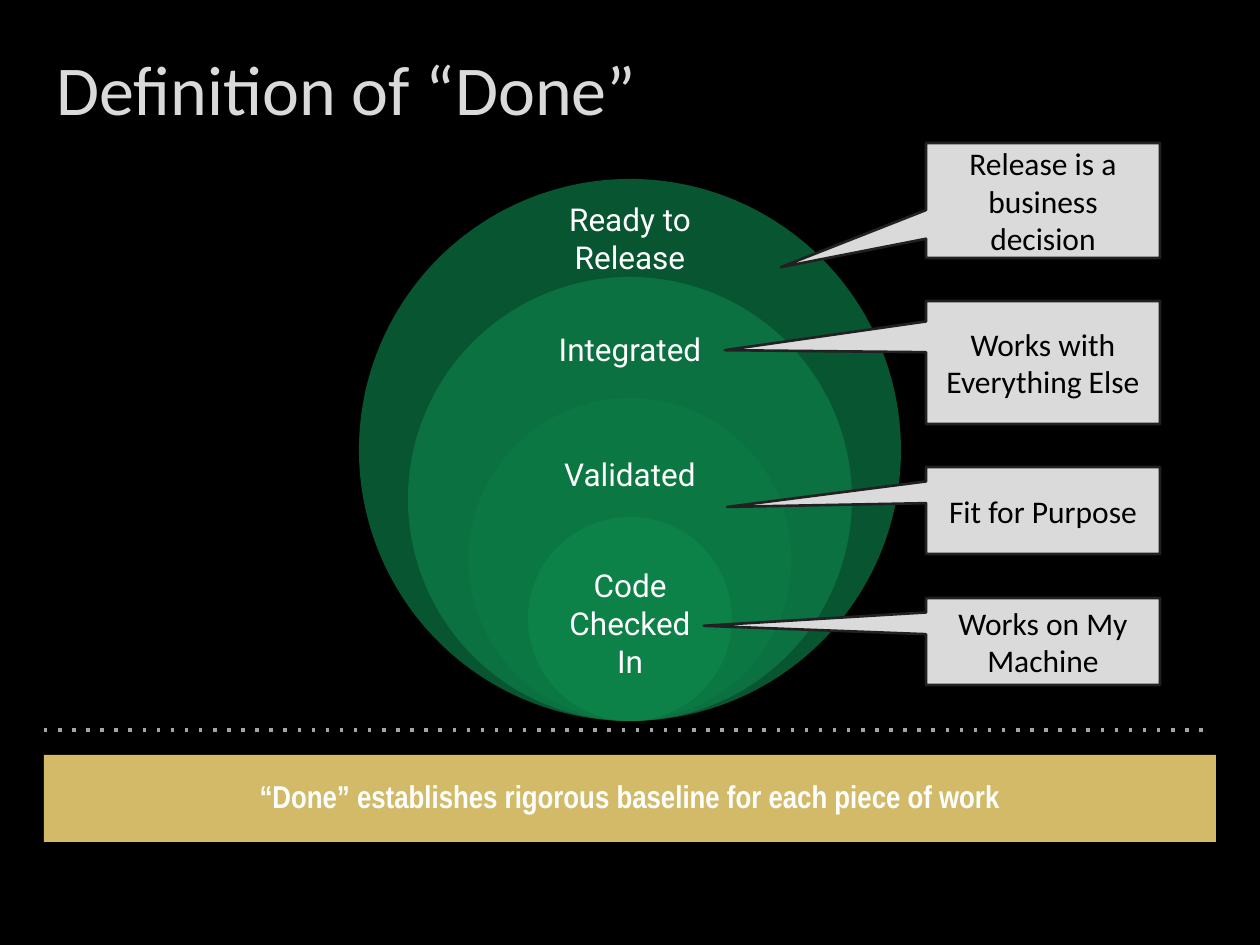
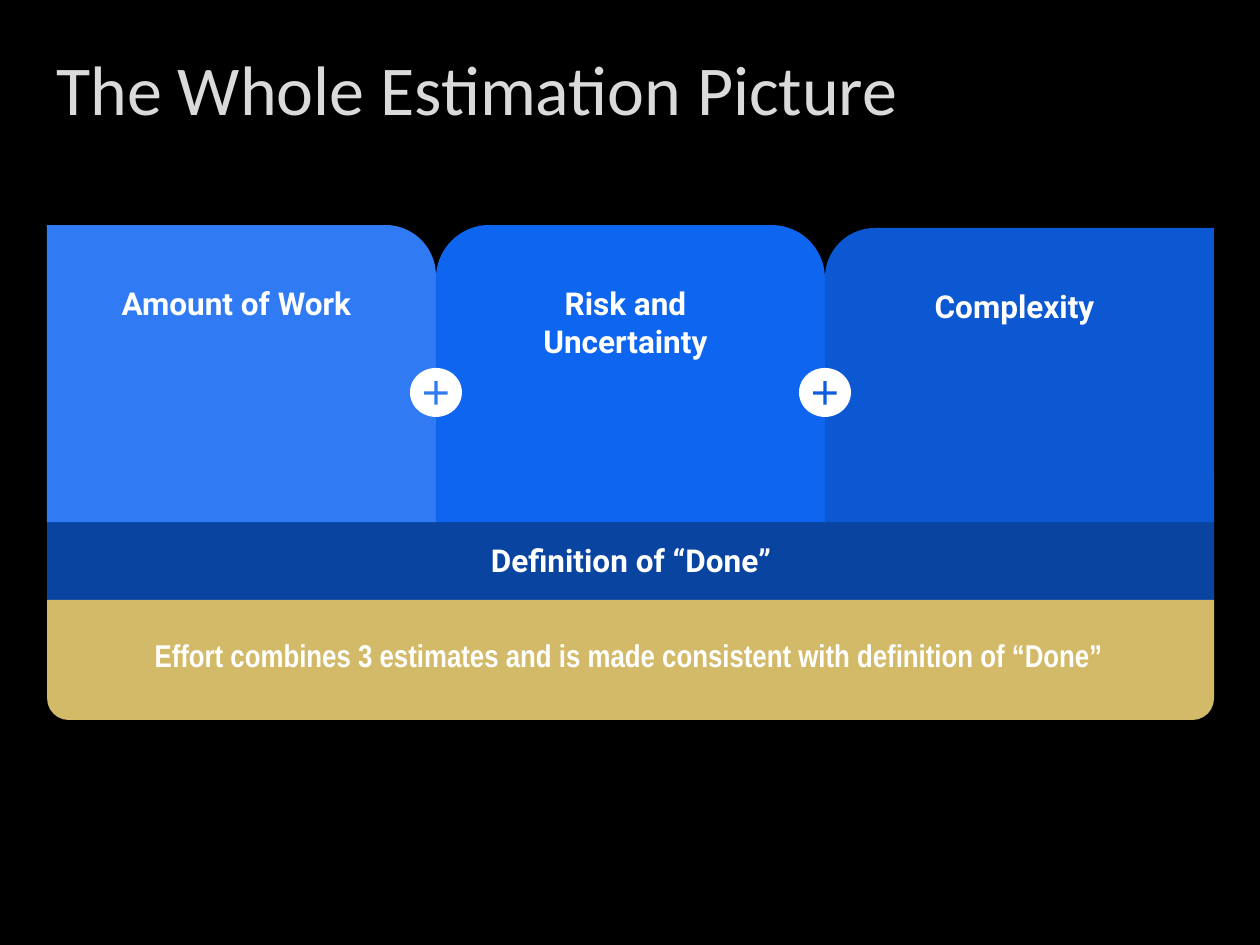
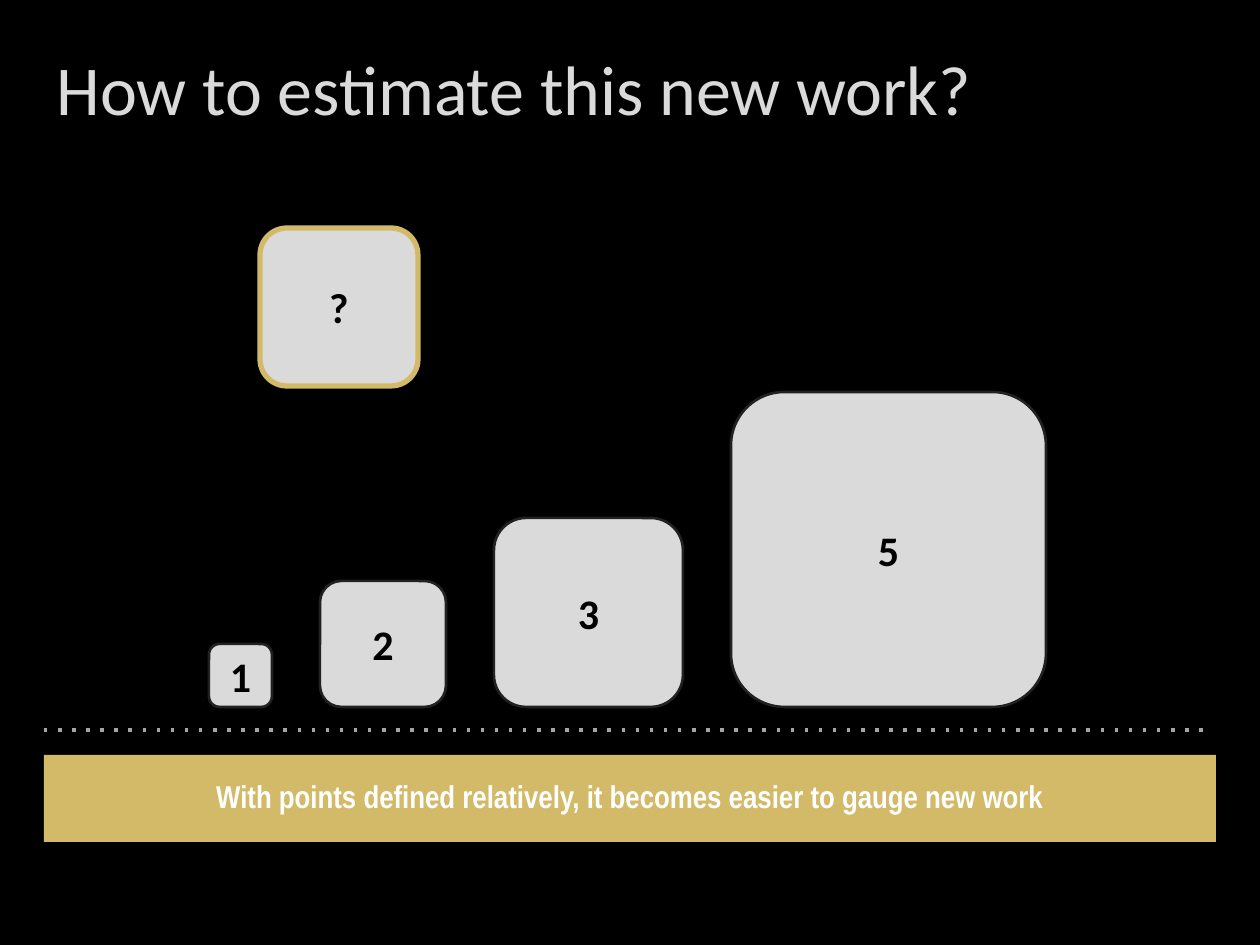
from lxml import etree
from pptx import Presentation
from pptx.dml.color import RGBColor
from pptx.enum import shapes, text
from pptx.oxml import ns
from pptx.util import Pt

Kind = shapes.MSO_SHAPE
Mid, Top = text.MSO_ANCHOR.MIDDLE, text.MSO_ANCHOR.TOP


class Theme:
    back, pale, ink = "000000", "DADADA", "000000"
    white, gold, edge, dots = "FFFFFF", "D3BA68", "212123", "A5A5A5"
    greens = ["085631", "0B7140", "0B7743", "0C8148"]
    blues = ["307BF3", "0E65F0", "0C58D3"]
    navy, cross = "0944A1", "0D5DDF"
    main, label, band = "Calibri", "Roboto", "Arial Narrow"
    head, big, norm = 40, 24, 18


def px(n):
    """Turn pixels, 126 to the inch, into EMU."""
    return round(n * 914400 / 126)


def add(slide, kind, box, fill=None, line=None, adj=(), words="", font=Theme.label,
        size=Theme.norm, color=Theme.white, bold=False, anchor=Mid, lead=None):
    """Add a preset shape, or a text box when kind is None."""
    area = [px(n) for n in box]
    if kind is None:
        shape = slide.shapes.add_textbox(*area)
    else:
        shape = slide.shapes.add_shape(kind, *area)
        shape.shadow.inherit = False
        shape.fill.solid()
        shape.fill.fore_color.rgb = RGBColor.from_string(fill)
        if line:
            shape.line.color.rgb = RGBColor.from_string(line[0])
            shape.line.width = Pt(line[1])
        else:
            shape.line.fill.background()
        for i, value in enumerate(adj):
            shape.adjustments[i] = value
    if words:
        frame = shape.text_frame
        frame.word_wrap = True
        frame.vertical_anchor = anchor
        frame.margin_left = frame.margin_right = px(13)
        frame.margin_top = frame.margin_bottom = px(13)
        para = frame.paragraphs[0]
        para.text = words
        para.alignment = text.PP_ALIGN.CENTER
        para.line_spacing = lead
        para.font.name, para.font.size, para.font.bold = font, Pt(size), bold
        para.font.color.rgb = RGBColor.from_string(color)
    return shape


deck = Presentation()
deck.slide_width, deck.slide_height = px(1260), px(945)
ground = deck.slide_master.background.fill
ground.solid()
ground.fore_color.rgb = RGBColor.from_string(Theme.back)

# Shared titles, with the dotted rule and gold band where a slide has one
pages = []
for name, note in [
    ("Definition of “Done”", "“Done” establishes rigorous baseline for each piece of work"),
    ("The Whole Estimation Picture", None),
    ("How to estimate this new work?",
     "With points defined relatively, it becomes easier to gauge new work"),
]:
    page = deck.slides.add_slide(deck.slide_layouts[5])
    pages.append(page)
    title = page.shapes.title
    title.left, title.top, title.width, title.height = px(44), px(19), px(1172), px(151)
    title.text_frame.text = name
    title.text_frame.auto_size = text.MSO_AUTO_SIZE.NONE
    title.text_frame.vertical_anchor = Mid
    para = title.text_frame.paragraphs[0]
    para.alignment = text.PP_ALIGN.LEFT
    para.line_spacing = 0.85
    para.font.name, para.font.size = Theme.main, Pt(Theme.head)
    para.font.color.rgb = RGBColor.from_string(Theme.pale)
    if note:
        add(page, Kind.RECTANGLE, (44, 755, 1172, 87), Theme.gold, words=note,
            font=Theme.band, bold=True, lead=0.9)
        rule = page.shapes.add_connector(shapes.MSO_CONNECTOR.STRAIGHT,
                                         px(44), px(730), px(1211), px(730))
        rule.line.color.rgb = RGBColor.from_string(Theme.dots)
        rule.line.width = Pt(2)
        props = rule.element.spPr
        etree.SubElement(props.find(ns.qn("a:ln")), ns.qn("a:prstDash"), val="dot")
        etree.SubElement(props, ns.qn("a:effectLst"))

done, whole, points = pages

# Nested circles resting on one point
for fill, size, words, top, wide, high in zip(
        Theme.greens, [542, 444, 323, 204],
        ["Ready to Release", "Integrated", "Validated", "Code Checked In"],
        [190, 310, 437, 578], [266, 218, 204, 170], [95, 78, 73, 90]):
    add(done, Kind.OVAL, (630 - size / 2, 721 - size, size, size), fill)
    add(done, None, (630 - wide / 2, top, wide, high), words=words)

# Callouts, each with its tip as a share of the box
for words, top, high, tip in [
    ("Works on My Machine", 598, 87, (-1.45, -0.18)),
    ("Fit for Purpose", 467, 87, (-1.35, -0.04)),
    ("Works with Everything Else", 301, 123, (-1.36, -0.1)),
    ("Release is a business decision", 143, 115, (-1.12, 0.58)),
]:
    add(done, Kind.ROUNDED_RECTANGULAR_CALLOUT, (926, top, 234, high), Theme.pale,
        (Theme.edge, 1.5), (*tip, 0), words, Theme.main, color=Theme.ink)

# Base under the three estimates
base = add(whole, Kind.ROUND_2_SAME_RECTANGLE, (47, 473, 1167, 155), Theme.navy, adj=(0.18, 0))
base.rotation = 180
add(whole, None, (232, 528, 798, 43), words="Definition of “Done”", bold=True, anchor=Top)

# Three estimates side by side
wide = 389
for i, (kind, adj, top, words) in enumerate([
    (Kind.ROUND_1_RECTANGLE, (0.17,), 225, "Amount of Work"),
    (Kind.ROUND_2_SAME_RECTANGLE, (0.18, 0), 225, "Risk and Uncertainty"),
    (Kind.ROUND_1_RECTANGLE, (0.17,), 228, "Complexity"),
]):
    left = 47 + i * wide
    block = add(whole, kind, (left, top, wide, 522 - top), Theme.blues[i], adj=adj)
    if i == 2:
        block.element.spPr.get_or_add_xfrm().set("flipH", "1")
    add(whole, None, (left + 44, top + 46, 291, 87), words=words, bold=True, anchor=Top)

# Gold foot
foot = add(whole, Kind.ROUND_2_SAME_RECTANGLE, (47, 600, 1167, 120), Theme.gold, adj=(0.18, 0))
foot.rotation = 180
add(whole, None, (74, 627, 1110, 49), font=Theme.band, bold=True, anchor=Top, lead=0.9,
    words="Effort combines 3 estimates and is made consistent with definition of “Done”")

# Plus signs on the seams
for i, fill in enumerate([Theme.blues[0], Theme.cross], 1):
    seam = 47 + i * wide
    add(whole, Kind.OVAL, (seam - 26, 368, 52, 49), Theme.white)
    add(whole, Kind.MATH_PLUS, (seam - 16, 377, 32, 32), fill, adj=(0.1,))

# New work, then squares sized by their points
tiles = [("?", 260, 228, 158, (Theme.gold, 3))]
left, unit, gap = 209, 63, 48
for count, scale in [(1, 1), (2, 2), (3, 3), (5, 5)]:
    size = scale * unit
    tiles.append((str(count), left, 707 - size, size, (Theme.edge, 1.5)))
    left += size + gap
for words, left, top, size, line in tiles:
    add(points, Kind.ROUNDED_RECTANGLE, (left, top, size, size), Theme.pale, line, (0.17,),
        words, Theme.main, Theme.big, Theme.ink, True)

deck.save("out.pptx")
